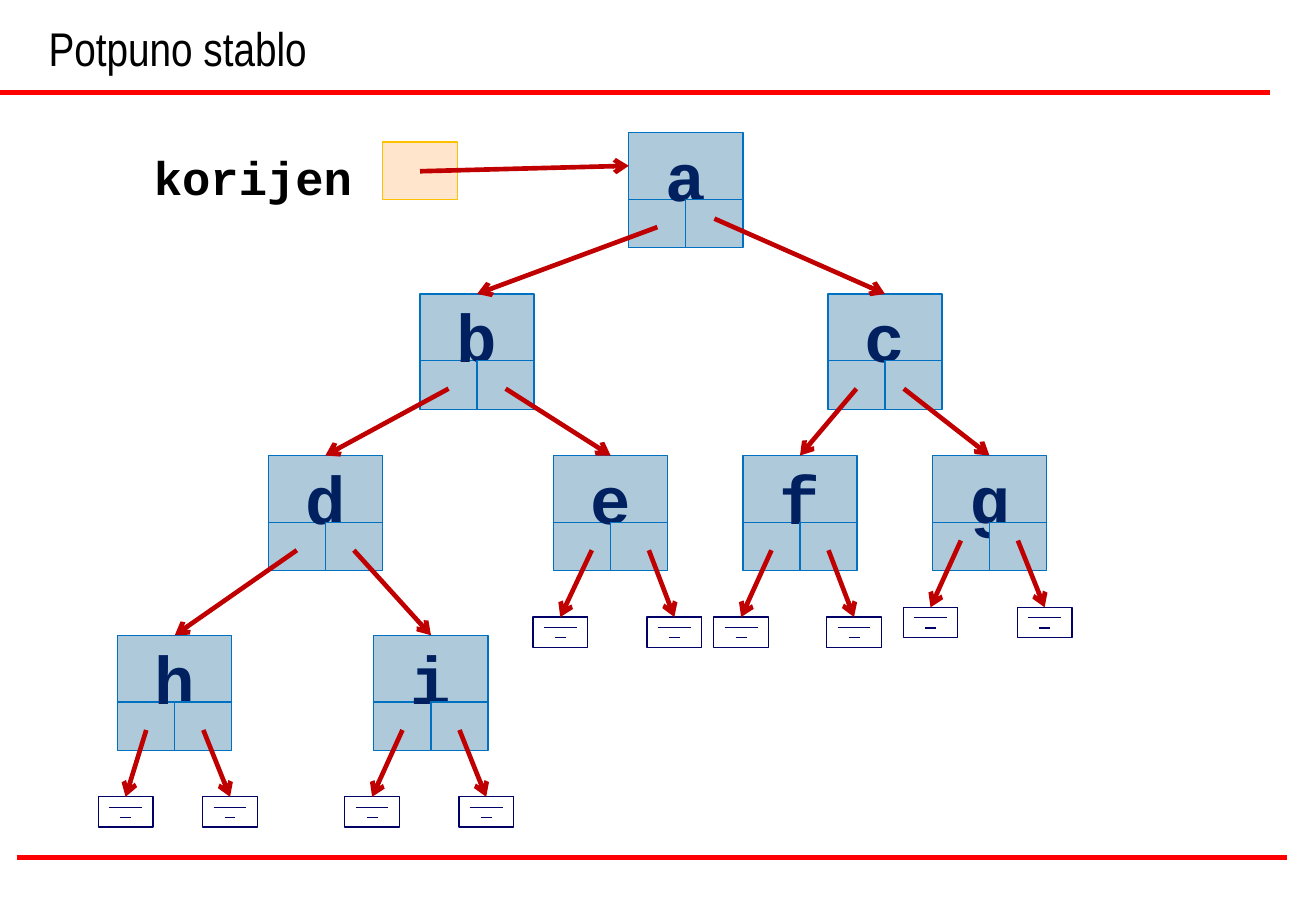
"""Builds the slide on a complete binary tree with linked nodes."""
import pptx
import pptx.util
import pptx.dml.color
import pptx.enum.shapes
import pptx.enum.text
import pptx.oxml.ns
from lxml import etree

COLORS = {
    "rule": "FF0000", "black": "000000", "node": "AEC9DA", "edge": "0070C0",
    "letter": "002060", "arrow": "C00000", "null": "000066",
    "root": "FFCC99", "root_edge": "FFC000",
}
COLUMNS, ROWS = 108.4, 75
NODE_W, LETTER_H, CELL_W, CELL_H = 9.4, 5.5, 4.7, 4
NULL_W, NULL_H, NULL_STEP = 4.5, 2.5, 0.85
LEVELS = [10.9, 24.2, 37.5, 52.3]
NODES = {
    "a": (51.8, 0), "b": (34.6, 1), "c": (68.2, 1),
    "d": (22.1, 2), "e": (45.6, 2), "f": (61.2, 2), "g": (76.8, 2),
    "h": (9.7, 3), "i": (30.8, 3),
}
CHILDREN = {"a": "bc", "b": "de", "c": "fg", "d": "hi"}
NULLS = {
    "e": (43.9, 53.3, 50.8), "f": (58.8, 68.1, 50.8), "g": (74.4, 83.8, 50),
    "h": (8.1, 16.7, 65.6), "i": (28.4, 37.8, 65.6),
}
START_SHIFTS = {
    ("a", 1): (0, -0.7), ("c", 1): (-0.8, 0),
    ("e", 0): (0.8, 0), ("e", 1): (0.8, 0),
    ("g", 0): (0, -0.8), ("g", 1): (0, -0.8),
}


class TreeSlide:
    """Holds the style and the current slide."""

    def __init__(self, prs):
        self.col = prs.slide_width / COLUMNS
        self.row = prs.slide_height / ROWS
        self.s = prs.slides.add_slide(prs.slide_layouts[5])

    def place(self, x, y, w, h):
        """Turns grid units into slide lengths."""
        return [round(x * self.col), round(y * self.row),
                round(w * self.col), round(h * self.row)]

    def color(self, name):
        """Returns a named colour."""
        return pptx.dml.color.RGBColor.from_string(COLORS[name])

    def add_text(self, tf, text, size, font, color, bold=False, centred=False):
        """Adds one run to a text frame."""
        p = tf.paragraphs[0]
        align = pptx.enum.text.PP_ALIGN
        p.alignment = align.CENTER if centred else align.LEFT
        r = p.add_run()
        r.text = text
        r.font.size = pptx.util.Pt(size)
        r.font.name = font
        r.font.bold = bold
        r.font.color.rgb = self.color(color)

    def title(self, text, x, y, w, h):
        """Moves and fills the title placeholder."""
        sp = self.s.shapes.title
        sp.left, sp.top, sp.width, sp.height = self.place(x, y, w, h)
        tf = sp.text_frame
        tf.auto_size = pptx.enum.text.MSO_AUTO_SIZE.NONE
        tf.vertical_anchor = pptx.enum.text.MSO_ANCHOR.BOTTOM
        self.add_text(tf, text, 28, "Arial Narrow", "black")

    def label(self, text, x, y, w, h):
        """Adds a bold code label."""
        tf = self.s.shapes.add_textbox(*self.place(x, y, w, h)).text_frame
        tf.word_wrap = False
        tf.margin_top = pptx.util.Inches(0.15)
        self.add_text(tf, text, 28, "Courier New", "black", bold=True)

    def box(self, x, y, w, h, edge, fill=None, alpha=None, shapes=None):
        """Adds a thin-edged rectangle."""
        shapes = shapes or self.s.shapes
        kind = pptx.enum.shapes.MSO_SHAPE.RECTANGLE
        sp = shapes.add_shape(kind, *self.place(x, y, w, h))
        sp.shadow.inherit = False
        sp.line.color.rgb = self.color(edge)
        sp.line.width = pptx.util.Pt(0.75)
        if fill is None:
            sp.fill.background()
            return sp
        sp.fill.solid()
        sp.fill.fore_color.rgb = self.color(fill)
        if alpha is not None:
            qn = pptx.oxml.ns.qn
            clr = sp._element.spPr.find(qn("a:solidFill")).find(qn("a:srgbClr"))
            etree.SubElement(clr, qn("a:alpha"), val=str(alpha * 1000))
        return sp

    def line(self, x1, y1, x2, y2, color, width, shapes=None):
        """Adds a straight line."""
        shapes = self.s.shapes if shapes is None else shapes
        kind = pptx.enum.shapes.MSO_CONNECTOR.STRAIGHT
        start, end = self.place(x1, y1, 0, 0)[:2], self.place(x2, y2, 0, 0)[:2]
        c = shapes.add_connector(kind, *start, *end)
        c.line.color.rgb = self.color(color)
        c.line.width = pptx.util.Pt(width)
        etree.SubElement(c._element.spPr, pptx.oxml.ns.qn("a:effectLst"))
        return c

    def arrow(self, x, y, target, side=0):
        """Adds an arrow from a point to the middle of a box side."""
        c = self.line(x, y, x, y, "arrow", 2.75)
        c.end_connect(target, side)
        qn = pptx.oxml.ns.qn
        ln = c._element.spPr.find(qn("a:ln"))
        etree.SubElement(ln, qn("a:tailEnd"), type="arrow")

    def node(self, letter, x, y):
        """Adds a node with two pointer cells and returns its letter box."""
        cell_y = y + LETTER_H
        self.box(x, cell_y, CELL_W, CELL_H, "edge", "node")
        sp = self.box(x, y, NODE_W, LETTER_H, "edge", "node")
        tf = sp.text_frame
        tf.word_wrap = False
        tf.vertical_anchor = pptx.enum.text.MSO_ANCHOR.MIDDLE
        tf.margin_top = pptx.util.Inches(0.19)
        self.add_text(tf, letter, 40, "Courier New", "letter", True, True)
        self.box(x + CELL_W, cell_y, CELL_W, CELL_H, "edge", "node")
        return sp

    def null(self, x, y):
        """Adds a grouped null symbol and returns its frame."""
        shapes = self.s.shapes.add_group_shape().shapes
        for i in range(3):
            inset, line_y = i * NULL_W / 5, y + i * NULL_STEP
            self.line(x + inset, line_y, x + NULL_W - inset, line_y,
                      "null", 0.75, shapes)
        return self.box(x, y, NULL_W, NULL_H, "null", shapes=shapes)


def main():
    """Builds and saves the slide."""
    prs = pptx.Presentation()
    prs.slide_width = pptx.util.Inches(10.84)
    prs.slide_height = pptx.util.Inches(7.5)
    tree = TreeSlide(prs)

    for x, y in ((0, 7.6), (1.4, 70.6)):
        tree.line(x, y, x + 104.6, y, "rule", 3)
    tree.title("Potpuno stablo", 3, 0, 101.6, 6.8)

    boxes = {n: tree.node(n, x, LEVELS[level])
             for n, (x, level) in NODES.items()}
    targets = {n: [boxes[child] for child in pair]
               for n, pair in CHILDREN.items()}
    for n, (left, right, y) in NULLS.items():
        targets[n] = [tree.null(left, y), tree.null(right, y)]

    tree.box(31.5, 11.7, 6.2, 4.7, "root_edge", "root", alpha=50)
    tree.label("korijen", 11.7, 10.7, 18.3, 5.7)
    tree.arrow(34.6, 14.1, boxes["a"], side=1)

    for n, (x, level) in NODES.items():
        for i, target in enumerate(targets[n]):
            dx, dy = START_SHIFTS.get((n, i), (0, 0))
            tree.arrow(x + (i + 0.5) * CELL_W + dx,
                       LEVELS[level] + 7.8 + dy, target)

    prs.save("out.pptx")


if __name__ == "__main__":
    main()
